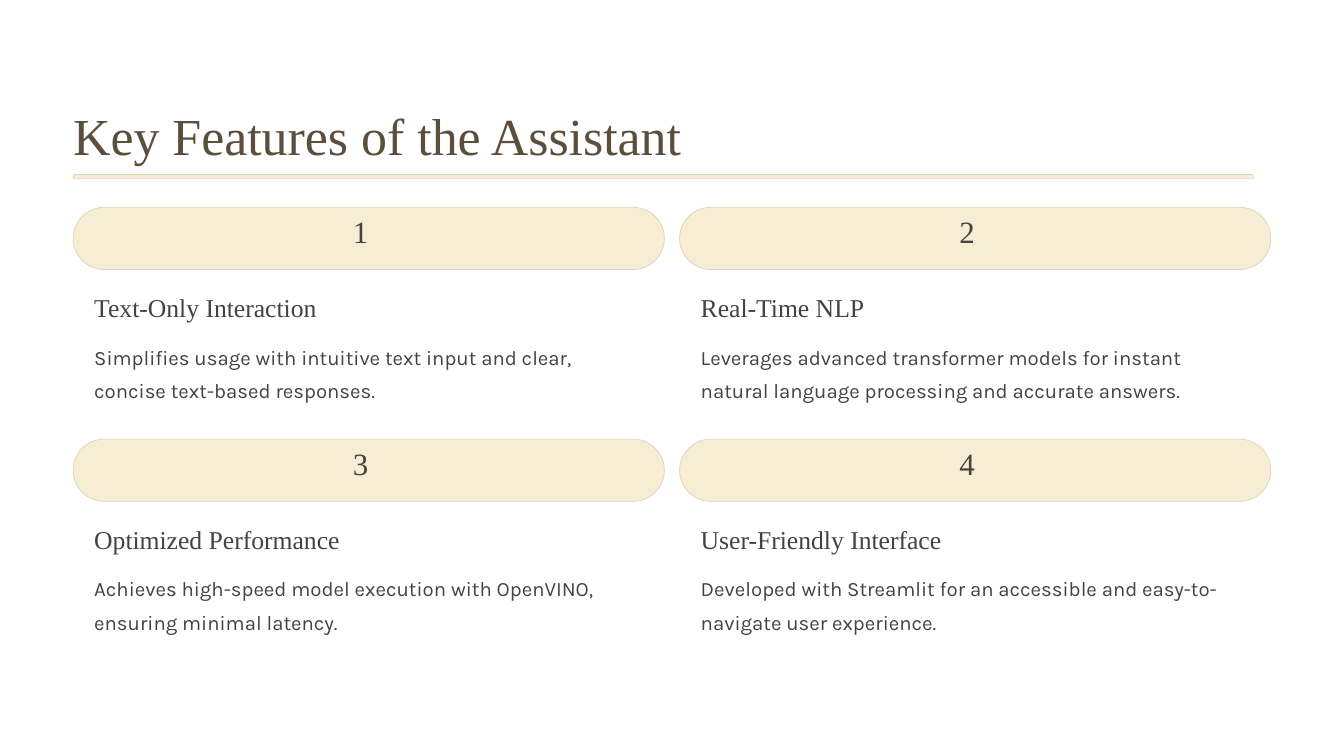
"""Builds the slide on the key features of the assistant."""
from pptx import Presentation
from pptx.dml.color import RGBColor
from pptx.enum.shapes import MSO_SHAPE
from pptx.util import Cm, Pt

ROUNDED = MSO_SHAPE.ROUNDED_RECTANGLE
SERIF, SANS = "Times New Roman", "Karla"
BROWN, CHARCOAL, CREAM, SAND = "5C4E3D", "454240", "F7EDD4", "DDD3BA"
LEFT, FIRST_ROW = 2.21, 6.27
COLUMN_STEP, ROW_STEP = 18.34, 7.01

FEATURES = [
    ("Text-Only Interaction",
     "Simplifies usage with intuitive text input and clear, concise text-based responses."),
    ("Real-Time NLP",
     "Leverages advanced transformer models for instant natural language processing "
     "and accurate answers."),
    ("Optimized Performance",
     "Achieves high-speed model execution with OpenVINO, ensuring minimal latency."),
    ("User-Friendly Interface",
     "Developed with Streamlit for an accessible and easy-to-navigate user experience."),
]


def color(value):
    return RGBColor.from_string(value)


class FeatureSlide:
    def __init__(self, slide):
        self.shapes = slide.shapes

    def bar(self, x, y, width, height, rounding):
        bar = self.shapes.add_shape(ROUNDED, Cm(x), Cm(y), Cm(width), Cm(height))
        bar.adjustments[0] = rounding
        bar.shadow.inherit = False
        bar.fill.solid()
        bar.fill.fore_color.rgb = color(CREAM)
        bar.line.color.rgb = color(SAND)
        bar.line.width = Pt(0.6)

    def text(self, words, x, y, width, height, size, spacing, font=SERIF, ink=CHARCOAL):
        frame = self.shapes.add_textbox(Cm(x), Cm(y), Cm(width), Cm(height)).text_frame
        frame.margin_left = frame.margin_right = 0
        frame.margin_top = frame.margin_bottom = 0
        frame.word_wrap = True
        paragraph = frame.paragraphs[0]
        paragraph.text = words
        paragraph.line_spacing = Pt(spacing)
        paragraph.font.name = font
        paragraph.font.size = Pt(size)
        paragraph.font.color.rgb = color(ink)

    def feature(self, number, heading, description, x, y):
        self.bar(x, y, 17.88, 1.88, 0.5)
        self.text(str(number), x + 8.46, y + 0.36, 0.94, 1.19, 26.5, 26.5)
        self.text(heading, x + 0.64, y + 2.51, 9.86, 0.99, 22, 27.5)
        self.text(description, x + 0.64, y + 3.89, 16.61, 2.01, 17.5, 28.5, SANS)


def main():
    deck = Presentation()
    deck.slide_width, deck.slide_height = Cm(40.64), Cm(22.86)
    page = FeatureSlide(deck.slides.add_slide(deck.slide_layouts[6]))
    page.text("Key Features of the Assistant", LEFT, 3.05, 22.86, 1.98, 44.5, 55.5, ink=BROWN)
    for index, (heading, description) in enumerate(FEATURES):
        row, column = divmod(index, 2)
        page.feature(index + 1, heading, description,
                     LEFT + column * COLUMN_STEP, FIRST_ROW + row * ROW_STEP)
    page.bar(LEFT, 5.28, 35.69, 0.13, 0.42)
    deck.save("out.pptx")


if __name__ == "__main__":
    main()
